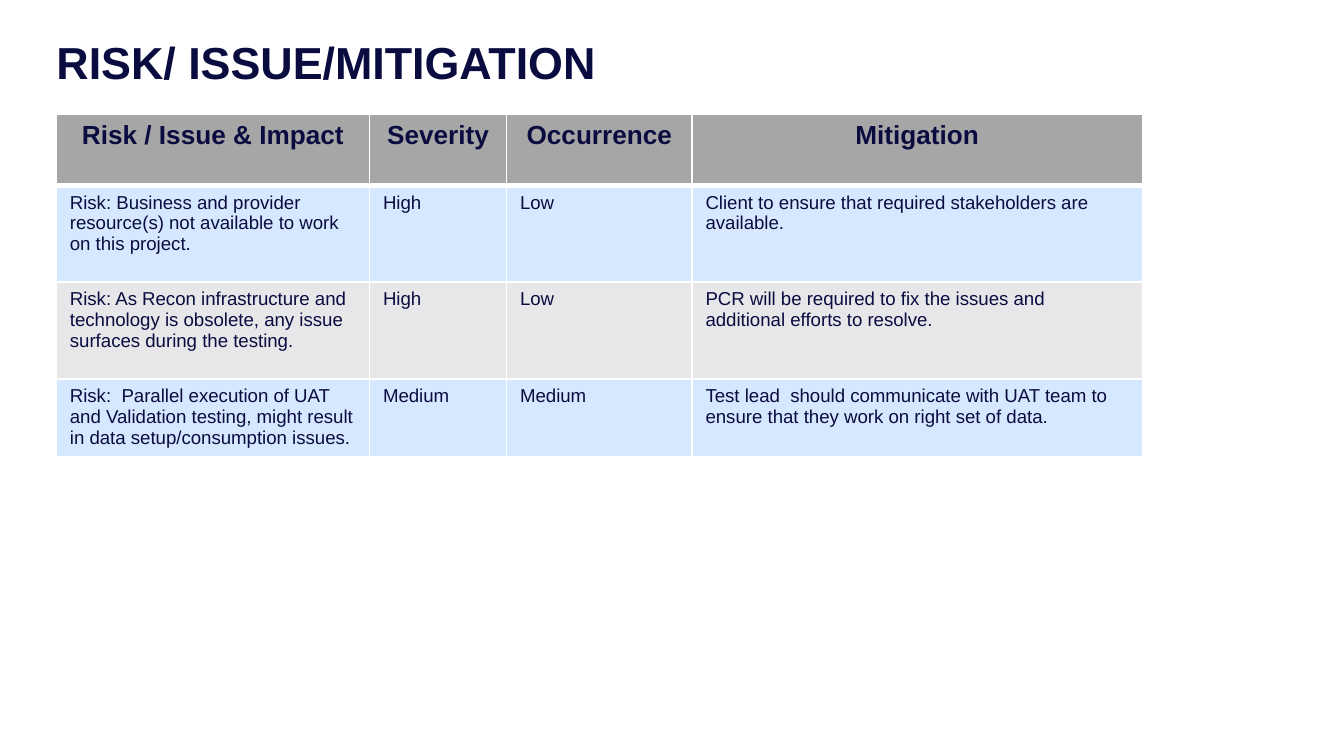
from lxml.etree import SubElement
from pptx import Presentation
from pptx.dml.color import RGBColor
from pptx.enum.text import MSO_ANCHOR, PP_ALIGN
from pptx.oxml.ns import qn
from pptx.util import Inches, Pt

NAVY, GREY, BLUE, PALE, WHITE = "0A0C40", "A6A6A6", "D6E8FF", "E7E7EA", "FFFFFF"
COLS = [2.33, 1.02, 1.38, 3.35]
HEIGHTS = [0.53, 0.72, 0.72, 0.58]
ROWS = [
    ["Risk / Issue & Impact", "Severity", "Occurrence", "Mitigation"],
    ["Risk: Business and provider resource(s) not available to work on this project.",
     "High", "Low",
     "Client to ensure that required stakeholders are available."],
    ["Risk: As Recon infrastructure and technology is obsolete, any issue surfaces during the testing.",
     "High", "Low",
     "PCR will be required to fix the issues and additional efforts to resolve."],
    ["Risk:  Parallel execution of UAT and Validation testing, might result in data setup/consumption issues.",
     "Medium", "Medium",
     "Test lead  should communicate with UAT team to ensure that they work on right set of data."],
]
HEAD = {"size": Pt(14), "bold": True}
BODY = {"size": Pt(10), "bold": False}


def color(code):
    return RGBColor.from_string(code)


def style(para, form):
    for key, value in {"name": "Arial", **form}.items():
        setattr(para.font, key, value)
    para.font.color.rgb = color(NAVY)


def add_title(slide, text, box):
    title = slide.shapes.title
    for key, value in zip(("left", "top", "width", "height"), box):
        setattr(title, key, Inches(value))
    frame = title.text_frame
    form = {"text": text, "word_wrap": False, "vertical_anchor": MSO_ANCHOR.TOP,
            "margin_left": 0, "margin_top": 0, "margin_right": 0, "margin_bottom": 0}
    for key, value in form.items():
        setattr(frame, key, value)
    para = frame.paragraphs[0]
    para.alignment = PP_ALIGN.LEFT
    para.line_spacing = 0.9
    style(para, {"size": Pt(24), "bold": True})


def add_edges(cell, widths):
    """Draw white borders; widths maps L, R, T and B to points."""
    props = cell._tc.get_or_add_tcPr()
    for side, width in widths.items():
        line = SubElement(props, qn(f"a:ln{side}"), w=str(Pt(width)))
        fill = SubElement(line, qn("a:solidFill"))
        SubElement(fill, qn("a:srgbClr"), val=WHITE)


def add_risks(slide, box):
    shape = slide.shapes.add_table(len(ROWS), len(COLS), *map(Inches, box))
    table = shape.table
    for col, width in zip(table.columns, COLS):
        col.width = Inches(width)
    for i, (row, height) in enumerate(zip(table.rows, HEIGHTS)):
        row.height = Inches(height)
        head = i == 0
        fill = GREY if head else (PALE, BLUE)[i % 2]
        edges = {"L": 1, "R": 1, "T": 3 if i == 1 else 1, "B": 3 if head else 1}
        for cell, text in zip(row.cells, ROWS[i]):
            add_edges(cell, edges)
            cell.fill.solid()
            cell.fill.fore_color.rgb = color(fill)
            cell.text = text
            para = cell.text_frame.paragraphs[0]
            para.alignment = PP_ALIGN.CENTER if head else PP_ALIGN.LEFT
            style(para, HEAD if head else BODY)


def main():
    deck = Presentation()
    deck.slide_width = Inches(10)
    deck.slide_height = deck.slide_width * 9 // 16
    slide = deck.slides.add_slide(deck.slide_layouts[5])
    add_title(slide, "RISK/ ISSUE/MITIGATION", (0.42, 0.3, 9.21, 0.68))
    add_risks(slide, (0.42, 0.85, sum(COLS), sum(HEIGHTS)))
    deck.save("out.pptx")


if __name__ == "__main__":
    main()
